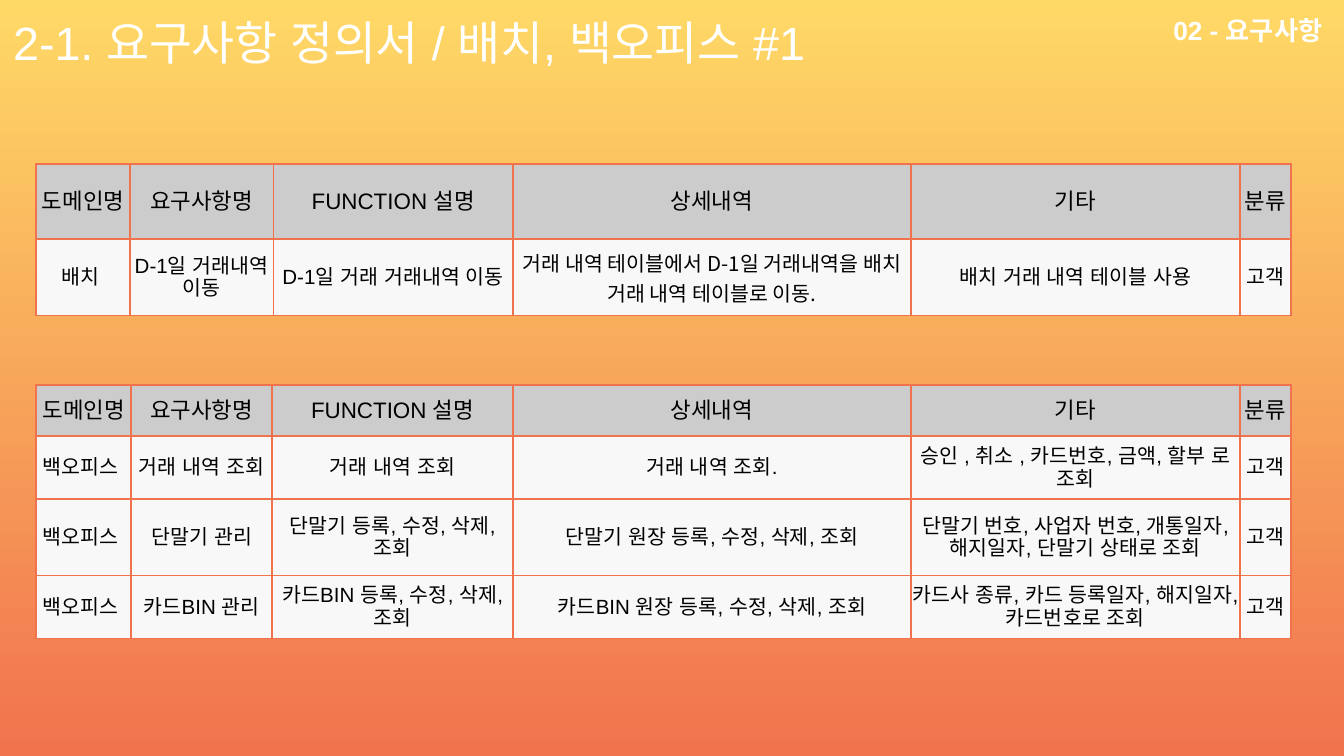
from dataclasses import dataclass

from lxml.etree import SubElement
from pptx import Presentation
from pptx.dml.color import RGBColor
from pptx.enum.text import MSO_ANCHOR, MSO_AUTO_SIZE, PP_ALIGN
from pptx.oxml.ns import qn
from pptx.util import Pt

ORANGE, YELLOW, WHITE, BLACK = "F1734E", "FFD966", "FFFFFF", "000000"
HEADER_FILL, BODY_FILL = "CCCCCC", "F8F8F8"
HEADER = ("도메인명", "요구사항명", "FUNCTION 설명", "상세내역", "기타", "분류")
TABLE_LEFT = 19.4


@dataclass
class Label:
    text: str
    left: float
    top: float
    width: float
    height: float
    size: float
    align: PP_ALIGN
    inset: float
    bold: bool = False
    fit: bool = False


@dataclass
class Requirements:
    top: float
    widths: tuple[float, ...]
    heights: tuple[float, ...]
    rows: list[tuple[str, ...]]


def rgb(value: str) -> RGBColor:
    return RGBColor.from_string(value)


def set_text(frame, text: str, size: float, color: str, align: PP_ALIGN,
             bold: bool = False, face: str = "Arial") -> None:
    frame.text = text
    frame.word_wrap = True
    paragraph = frame.paragraphs[0]
    paragraph.alignment = align
    font = paragraph.runs[0].font
    font.size, font.bold, font.name = Pt(size), bold, face
    font.color.rgb = rgb(color)
    # Hangul follows the same font setting
    SubElement(font._element, qn("a:ea"), typeface=face)


def draw_label(slide, label: Label) -> None:
    box = slide.shapes.add_textbox(Pt(label.left), Pt(label.top), Pt(label.width), Pt(label.height))
    frame = box.text_frame
    set_text(frame, label.text, label.size, WHITE, label.align, label.bold)
    frame.margin_top = frame.margin_bottom = Pt(label.inset)
    if label.fit:
        frame.auto_size = MSO_AUTO_SIZE.SHAPE_TO_FIT_TEXT


def add_borders(cell, color: str) -> None:
    properties = cell._tc.get_or_add_tcPr()
    for position, side in enumerate(("lnL", "lnR", "lnT", "lnB")):
        line = properties.makeelement(qn(f"a:{side}"), {"w": str(Pt(1))})
        fill = SubElement(line, qn("a:solidFill"))
        SubElement(fill, qn("a:srgbClr"), val=color)
        properties.insert(position, line)


def draw_requirements(slide, block: Requirements) -> None:
    rows = [HEADER, *block.rows]
    table = slide.shapes.add_table(
        len(rows), len(HEADER), Pt(TABLE_LEFT), Pt(block.top),
        Pt(sum(block.widths)), Pt(sum(block.heights))).table
    table.first_row = table.horz_banding = False
    for column, width in zip(table.columns, block.widths):
        column.width = Pt(width)
    for r, (texts, height) in enumerate(zip(rows, block.heights)):
        table.rows[r].height = Pt(height)
        for c, text in enumerate(texts):
            cell = table.cell(r, c)
            cell.margin_left = cell.margin_right = cell.margin_top = cell.margin_bottom = 0
            cell.vertical_anchor = MSO_ANCHOR.MIDDLE
            cell.fill.solid()
            cell.fill.fore_color.rgb = rgb(BODY_FILL if r else HEADER_FILL)
            face = "Noto Sans CJK KR" if text.startswith("거래 내역 테이블에서") else "Arial"
            set_text(cell.text_frame, text, 11 if r else 12, BLACK, PP_ALIGN.CENTER, face=face)
            add_borders(cell, ORANGE)


BATCH = Requirements(
    87.8, (50.3, 76.8, 128.4, 213.2, 176.3, 27.3), (40.3, 41),
    [("배치 ", "D-1일 거래내역 이동", "D-1일 거래 거래내역 이동",
      "거래 내역 테이블에서 D-1일 거래내역을 배치 거래 내역 테이블로 이동.",
      "배치 거래 내역 테이블 사용", "고객")])
BACK_OFFICE = Requirements(
    206.4, (50.9, 75.6, 129, 213.2, 176.3, 27.3), (27.3, 33.8, 40.8, 33.8),
    [("백오피스 ", "거래 내역 조회", "거래 내역 조회", "거래 내역 조회.",
      "승인 , 취소 , 카드번호, 금액, 할부 로 조회", "고객"),
     ("백오피스 ", "단말기 관리", "단말기 등록, 수정, 삭제, 조회",
      "단말기 원장 등록, 수정, 삭제, 조회",
      "단말기 번호, 사업자 번호, 개통일자, 해지일자, 단말기 상태로 조회", "고객"),
     ("백오피스 ", "카드BIN 관리", "카드BIN 등록, 수정, 삭제, 조회",
      "카드BIN 원장 등록, 수정, 삭제, 조회",
      "카드사 종류, 카드 등록일자, 해지일자, 카드번호로 조회", "고객")])
TITLE = Label("2-1. 요구사항 정의서 / 배치, 백오피스 #1", 0, 0, 496, 51, 25, PP_ALIGN.LEFT, 7.2)
SECTION = Label("02 - 요구사항", 591, 4.3, 124.6, 24.5, 14, PP_ALIGN.RIGHT, 3.6, bold=True, fit=True)


def main() -> None:
    presentation = Presentation()
    presentation.slide_width, presentation.slide_height = Pt(720), Pt(405)
    slide = presentation.slides.add_slide(presentation.slide_layouts[6])

    # Background: yellow at the top to orange at the bottom
    background = slide.background.fill
    background.gradient()
    background.gradient_angle = 270
    for stop, color in zip(background.gradient_stops, (YELLOW, ORANGE)):
        stop.color.rgb = rgb(color)

    # Headings and requirement tables
    draw_requirements(slide, BATCH)
    draw_label(slide, TITLE)
    draw_label(slide, SECTION)
    draw_requirements(slide, BACK_OFFICE)
    presentation.save("out.pptx")


if __name__ == "__main__":
    main()
